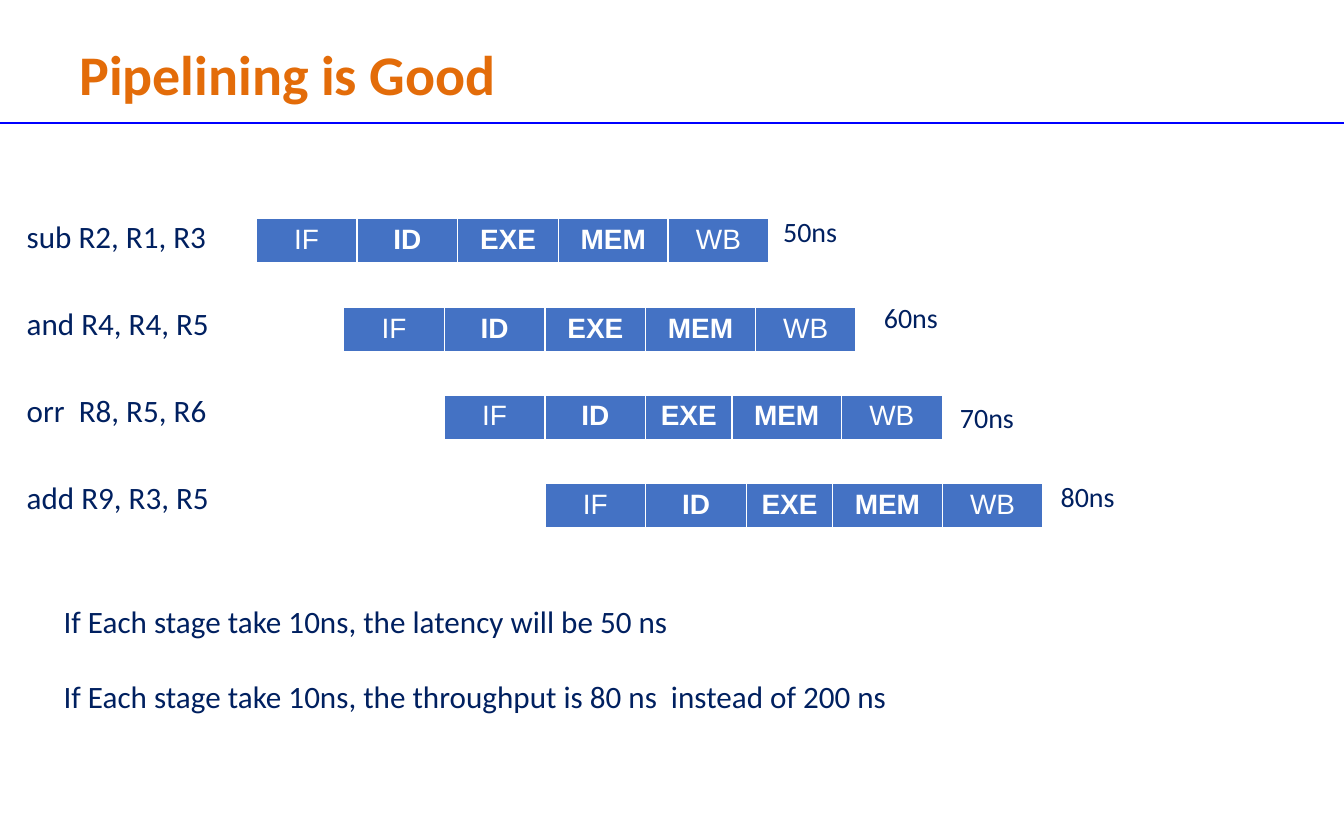
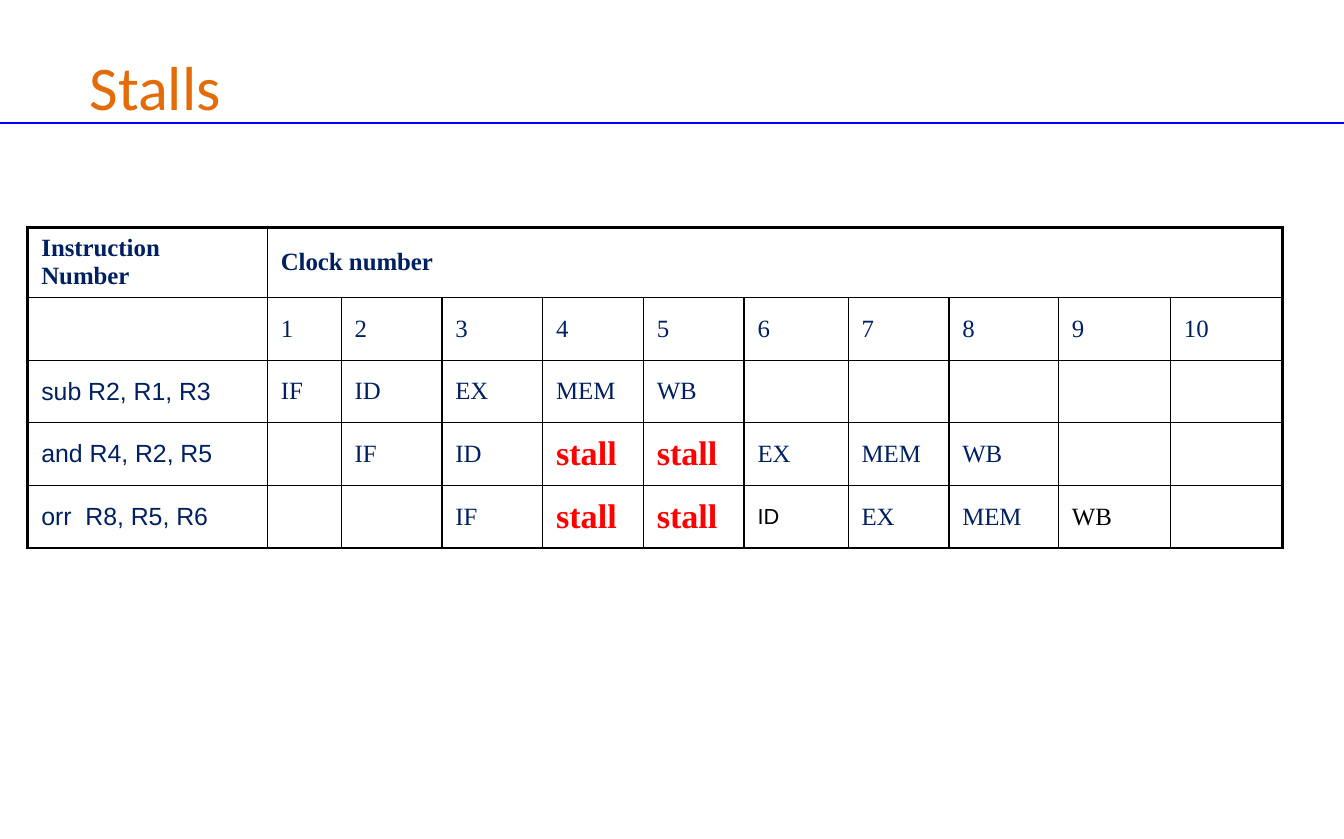
from dataclasses import dataclass

from lxml.etree import SubElement
from pptx import Presentation
from pptx.dml.color import RGBColor
from pptx.enum.shapes import MSO_CONNECTOR
from pptx.enum.text import MSO_ANCHOR, MSO_AUTO_SIZE, PP_ALIGN
from pptx.oxml import parse_xml
from pptx.oxml.ns import nsdecls, qn
from pptx.util import Inches, Pt


@dataclass(frozen=True)
class Theme:
    """Colours, fonts and type sizes of the deck."""

    orange: str = "E36C09"
    navy: str = "002060"
    blue: str = "4472C4"
    rule: str = "0000FF"
    red: str = "FF0000"
    black: str = "000000"
    white: str = "FFFFFF"
    body_font: str = "Calibri"
    stage_font: str = "Arial"
    clock_font: str = "Times New Roman"
    body_size: int = 20
    stage_size: int = 18
    clock_size: int = 16
    small_size: int = 14
    stall_size: int = 22


THEME = Theme()
WIDTH, HEIGHT = 12.01, 7.5
STAGES = ("IF", "ID", "EXE", "MEM", "WB")
INSTRUCTIONS = ("sub R2, R1, R3", "and R4, R4, R5", "orr  R8, R5, R6", "add R9, R3, R5")
REMARKS = (
    "If Each stage take 10ns, the latency will be 50 ns",
    "If Each stage take 10ns, the throughput is 80 ns  instead of 200 ns",
)
PIPELINES = (
    (2.29, 1.95, 0.9, "50ns", 6.9, 1.87),
    (3.07, 2.75, 0.9, "60ns", 7.8, 2.64),
    (3.97, 3.53, 0.77, "70ns", 8.48, 3.53),
    (4.87, 4.32, 0.77, "80ns", 9.38, 4.24),
)
CLOCK_COLUMNS = (2.14, 0.66, 0.9, 0.9, 0.9, 0.9, 0.93, 0.9, 0.98, 1, 1)
CLOCK_HEIGHTS = (0.63, 0.56, 0.56, 0.56, 0.56)
CLOCK_ROWS = (
    ("Instruction Number", "Clock number"),
    ("", "1", "2", "3", "4", "5", "6", "7", "8", "9", "10"),
    ("sub R2, R1, R3", "IF", "ID", "EX", "MEM", "WB"),
    ("and R4, R2, R5", "", "IF", "ID", "stall", "stall", "EX", "MEM", "WB"),
    ("orr  R8, R5, R6", "", "", "IF", "stall", "stall", "ID", "EX", "MEM", "WB"),
)


def format_para(para, size, color, font=THEME.body_font, bold=False):
    """Format every run of a paragraph."""
    for span in para.runs:
        span.font.name = font
        span.font.size = Pt(size)
        span.font.bold = bold
        span.font.color.rgb = RGBColor.from_string(color)


def add_text(page, box, lines, size, gap=0):
    """Add a navy text box with a gap in points between its paragraphs."""
    frame = page.shapes.add_textbox(*map(Inches, box)).text_frame
    frame.word_wrap = True
    frame.text = "\n".join(lines)
    for index, para in enumerate(frame.paragraphs):
        para.space_before = Pt(gap if index else 0)
        format_para(para, size, THEME.navy)


def add_page(deck, title, box, size, bold=False, spacing=1.0):
    """Add a title-only slide with its title and the blue rule."""
    page = deck.slides.add_slide(deck.slide_layouts[5])
    holder = page.shapes.title
    holder.left, holder.top, holder.width, holder.height = map(Inches, box)
    frame = holder.text_frame
    frame.text = title
    frame.word_wrap = True
    frame.auto_size = MSO_AUTO_SIZE.NONE
    frame.vertical_anchor = MSO_ANCHOR.TOP
    para = frame.paragraphs[0]
    para.alignment = PP_ALIGN.LEFT
    para.line_spacing = spacing
    format_para(para, size, THEME.orange, bold=bold)
    rule = page.shapes.add_connector(
        MSO_CONNECTOR.STRAIGHT, 0, Inches(1.1), Inches(WIDTH), Inches(1.1)
    )
    rule.line.color.rgb = RGBColor.from_string(THEME.rule)
    rule.line.width = Pt(0.75)
    SubElement(rule.element.spPr, qn("a:effectLst"))
    return page


def add_grid(page, left, top, columns, heights):
    """Add an unbanded table with the given column widths and row heights."""
    table = page.shapes.add_table(
        len(heights), len(columns), Inches(left), Inches(top),
        Inches(sum(columns)), Inches(sum(heights)),
    ).table
    table.first_row = table.horz_banding = False
    for column, width in zip(table.columns, columns):
        column.width = Inches(width)
    for row, height in zip(table.rows, heights):
        row.height = Inches(height)
    return table


def set_borders(cell, color, left, right, top, bottom):
    """Draw the four cell edges with widths in points."""
    properties = cell._tc.get_or_add_tcPr()
    edges = {"lnL": left, "lnR": right, "lnT": top, "lnB": bottom}
    for index, (edge, width) in enumerate(edges.items()):
        properties.insert(index, parse_xml(
            f'<a:{edge} {nsdecls("a")} w="{Pt(width)}"><a:solidFill>'
            f'<a:srgbClr val="{color}"/></a:solidFill></a:{edge}>'
        ))


def set_margins(cell, right=0.12):
    """Set the cell insets."""
    cell.margin_left, cell.margin_right = Inches(0.12), Inches(right)
    cell.margin_top = cell.margin_bottom = Inches(0.05)


def add_pipeline(page, left, top, execute_width):
    """Add one row of pipeline stages."""
    columns = (0.9, 0.9, execute_width, 0.98, 0.9)
    table = add_grid(page, left, top, columns, (0.41,))
    for cell, stage in zip(table.iter_cells(), STAGES):
        cell.text = stage
        cell.fill.solid()
        cell.fill.fore_color.rgb = RGBColor.from_string(THEME.blue)
        set_margins(cell)
        set_borders(cell, THEME.white, 1, 1, 1, 3)
        para = cell.text_frame.paragraphs[0]
        para.alignment = PP_ALIGN.CENTER
        inner = stage not in (STAGES[0], STAGES[-1])
        format_para(para, THEME.stage_size, THEME.white, THEME.stage_font, inner)


def clock_style(row, column, text):
    """Return size, colour, font and weight of a clock table entry."""
    if text == "stall":
        return THEME.stall_size, THEME.red, THEME.clock_font, True
    if (row, column) == (4, 6):
        return THEME.small_size, THEME.black, THEME.stage_font, False
    color = THEME.black if (row, column) == (4, 9) else THEME.navy
    font = THEME.stage_font if row > 1 and column == 0 else THEME.clock_font
    return THEME.clock_size, color, font, row == 0


def add_clock_table(page, left, top):
    """Add the table of stages by clock number."""
    table = add_grid(page, left, top, CLOCK_COLUMNS, CLOCK_HEIGHTS)
    last = len(CLOCK_COLUMNS)
    table.cell(0, 1).merge(table.cell(0, last - 1))
    thin, thick = 1, 2.25
    for row, entries in enumerate(CLOCK_ROWS):
        for column in range(last):
            cell = table.cell(row, column)
            cell.fill.background()
            cell.vertical_anchor = MSO_ANCHOR.MIDDLE
            set_margins(cell, right=0.15)
            set_borders(
                cell, THEME.black,
                left=thin if column else thick,
                right=thick if column + cell.span_width == last else thin,
                top=thin if row else thick,
                bottom=thin,
            )
            text = entries[column] if column < len(entries) else ""
            if text:
                cell.text = text
                format_para(cell.text_frame.paragraphs[0], *clock_style(row, column, text))


def build_pipelining(deck):
    """Build the slide of overlapping pipelines."""
    page = add_page(deck, "Pipelining is Good", (0.61, 0.3, 5.65, 0.71), 36, bold=True)
    add_text(page, (0.14, 1.89, 2.36, 3.34), INSTRUCTIONS, THEME.body_size, gap=32)
    for left, top, execute_width, time, time_left, time_top in PIPELINES:
        add_pipeline(page, left, top, execute_width)
        add_text(page, (time_left, time_top, 0.83, 0.4), (time,), THEME.stage_size)
    add_text(page, (0.47, 5.34, 10.08, 1.11), REMARKS, THEME.body_size, gap=24)


def build_stalls(deck):
    """Build the slide of stalled instructions."""
    page = add_page(deck, "Stalls", (0.7, 0.46, 1.65, 0.41), 40, spacing=0.9)
    add_clock_table(page, 0.25, 2.03)


def main():
    """Build and save the deck."""
    deck = Presentation()
    deck.slide_width, deck.slide_height = Inches(WIDTH), Inches(HEIGHT)
    build_pipelining(deck)
    build_stalls(deck)
    deck.save("out.pptx")


if __name__ == "__main__":
    main()
